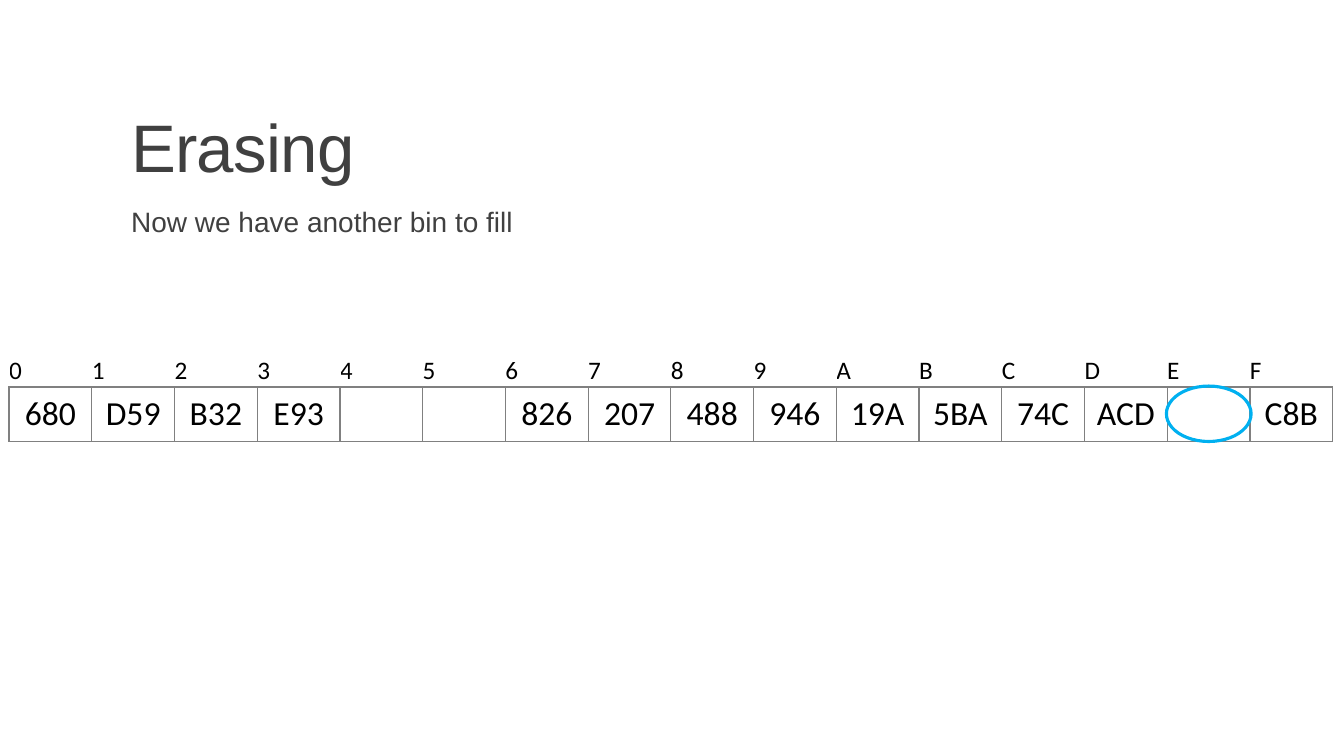
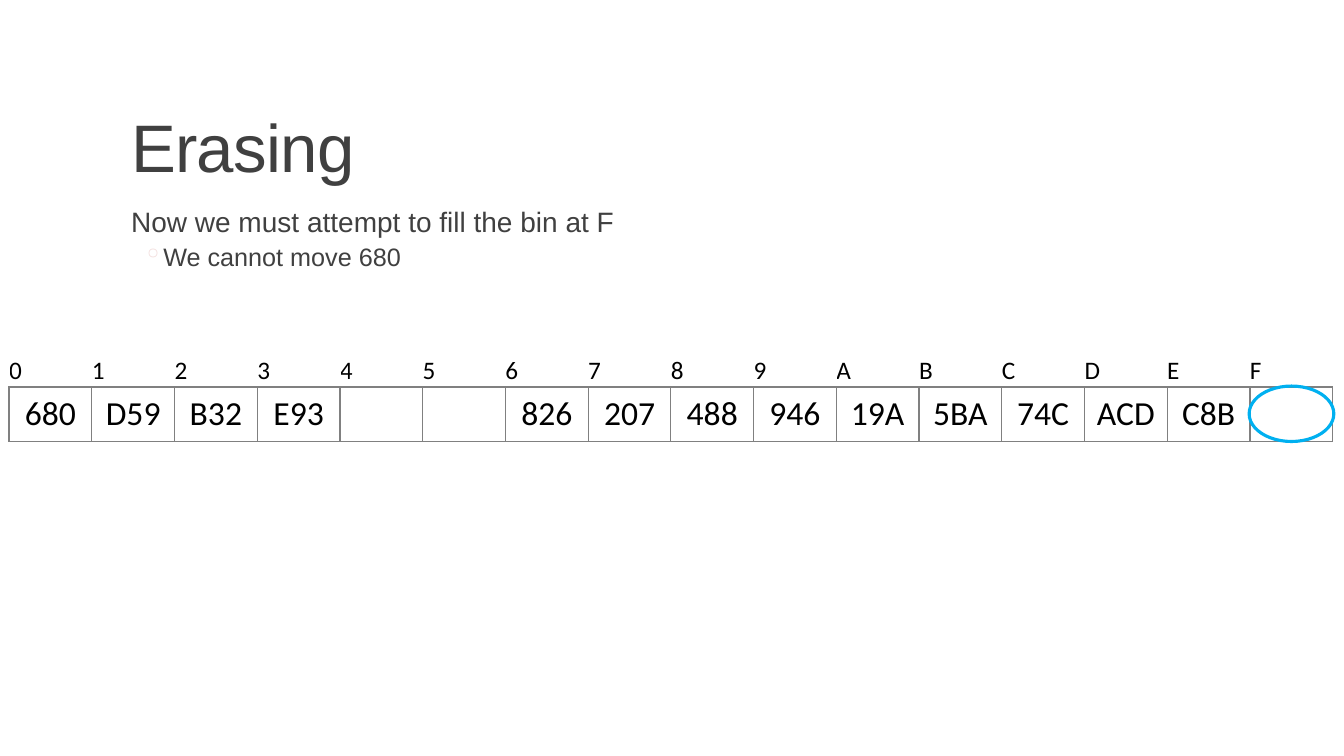
"""Build two slides showing how bins are refilled after erasing from a hash table."""
from dataclasses import dataclass

from lxml import etree
from pptx import Presentation
from pptx import util as u
from pptx.dml.color import RGBColor
from pptx.enum import shapes, text
from pptx.oxml import ns

EMU_PER_PX = 9144
DARK = RGBColor(0x40, 0x40, 0x40)
BLACK = RGBColor(0x00, 0x00, 0x00)
GREY = RGBColor(0x80, 0x80, 0x80)
PINK = RGBColor(0xF2, 0xDC, 0xDB)
BLUE = RGBColor(0x00, 0xB0, 0xF0)
BODY_FONT = "Arial"
TABLE_FONT = "Calibri"
BIN_LABELS = "0123456789ABCDEF"
TABLE_LEFT, TABLE_TOP, TABLE_WIDTH = 9, 351, 1313
LABEL_HEIGHT, BIN_HEIGHT = 33, 54


@dataclass(frozen=True)
class Point:
    words: str
    size: int
    margin: int
    before: int
    after: int
    bullet: str = ""


@dataclass(frozen=True)
class Step:
    points: tuple[Point, ...]
    bins: tuple[str, ...]

    @property
    def open_bin(self) -> int:
        return max(i for i, value in enumerate(self.bins) if not value)


def statement(words: str) -> Point:
    return Point(words, 20, 10, 0, 2)


def detail(words: str) -> Point:
    return Point(words, 18, 42, 2, 4, "◦")


SETTLED = ("680", "D59", "B32", "E93", "", "", "826", "207",
           "488", "946", "19A", "5BA", "74C", "ACD")
STEPS = (
    Step((statement("Now we have another bin to fill"),), SETTLED + ("", "C8B")),
    Step((statement("Now we must attempt to fill the bin at F"),
          detail("We cannot move 680")), SETTLED + ("C8B", "")),
)


def px(length: int) -> u.Emu:
    return u.Emu(length * EMU_PER_PX)


def add_span(para, words: str, font: str, size: int, color: RGBColor):
    span = para.add_run()
    span.text = words
    span.font.name = font
    span.font.size = u.Pt(size)
    span.font.color.rgb = color
    return span


def add_element(parent, tag: str, **attributes: str):
    return etree.SubElement(parent, ns.qn(tag), attributes)


def write_title(slide, words: str) -> None:
    title = slide.shapes.title
    title.left, title.top, title.width, title.height = px(120), px(31), px(1100), px(159)
    frame = title.text_frame
    frame.auto_size = text.MSO_AUTO_SIZE.NONE
    frame.vertical_anchor = text.MSO_ANCHOR.BOTTOM
    para = frame.paragraphs[0]
    para.alignment = text.PP_ALIGN.LEFT
    para.line_spacing = 0.85
    span = add_span(para, words, BODY_FONT, 48, DARK)
    span.font._element.set("spc", "-50")


def add_points(slide, points: tuple[Point, ...]) -> None:
    box = slide.shapes.add_textbox(px(120), px(202), px(1100), px(440))
    frame = box.text_frame
    frame.word_wrap = True
    frame.margin_left = frame.margin_right = 0
    frame.margin_top = frame.margin_bottom = px(5)
    for index, point in enumerate(points):
        para = frame.add_paragraph() if index else frame.paragraphs[0]
        properties = para._p.get_or_add_pPr()
        properties.set("marL", str(px(point.margin)))
        if point.bullet:
            para.level = 1
            properties.set("indent", str(px(-20)))
            add_element(add_element(properties, "a:buClr"), "a:srgbClr", val=str(PINK))
            add_element(properties, "a:buChar", char=point.bullet)
        para.line_spacing = 0.9
        para.space_before = u.Pt(point.before)
        para.space_after = u.Pt(point.after)
        add_span(para, point.words, BODY_FONT, point.size, DARK)


def add_borders(cell, sides: str) -> None:
    properties = cell._tc.get_or_add_tcPr()
    for side in sides:
        line = add_element(properties, f"a:ln{side}", w=str(u.Pt(1)))
        add_element(add_element(line, "a:solidFill"), "a:srgbClr", val=str(GREY))


def fill_cell(cell, words: str, size: int, align: text.PP_ALIGN, sides: str) -> None:
    add_borders(cell, sides)
    cell.fill.background()
    cell.margin_left = cell.margin_right = cell.margin_top = cell.margin_bottom = 0
    cell.vertical_anchor = text.MSO_ANCHOR.MIDDLE
    para = cell.text_frame.paragraphs[0]
    para.alignment = align
    if words:
        add_span(para, words, TABLE_FONT, size, BLACK)


def add_bins(slide, bins: tuple[str, ...]) -> None:
    frame = slide.shapes.add_table(2, len(bins), px(TABLE_LEFT), px(TABLE_TOP),
                                   px(TABLE_WIDTH), px(LABEL_HEIGHT + BIN_HEIGHT))
    table = frame.table
    table.first_row = table.horz_banding = False
    table.rows[0].height, table.rows[1].height = px(LABEL_HEIGHT), px(BIN_HEIGHT)
    for column, (label, value) in enumerate(zip(BIN_LABELS, bins)):
        fill_cell(table.cell(0, column), label, 18, text.PP_ALIGN.LEFT, "B")
        fill_cell(table.cell(1, column), value, 24, text.PP_ALIGN.CENTER, "LRTB")


def circle_bin(slide, column: int) -> None:
    left = px(TABLE_LEFT - 1) + px(TABLE_WIDTH) * column // len(BIN_LABELS)
    ring = slide.shapes.add_shape(shapes.MSO_SHAPE.OVAL, left,
                                  px(TABLE_TOP + LABEL_HEIGHT - 1), px(84), px(55))
    ring.shadow.inherit = False
    ring.fill.background()
    ring.line.color.rgb = BLUE
    ring.line.width = u.Pt(2.25)


def main() -> None:
    deck = Presentation()
    deck.slide_width, deck.slide_height = px(1333), px(750)
    for step in STEPS:
        page = deck.slides.add_slide(deck.slide_layouts[5])
        write_title(page, "Erasing")
        add_points(page, step.points)
        add_bins(page, step.bins)
        circle_bin(page, step.open_bin)
    deck.save("out.pptx")


if __name__ == "__main__":
    main()
